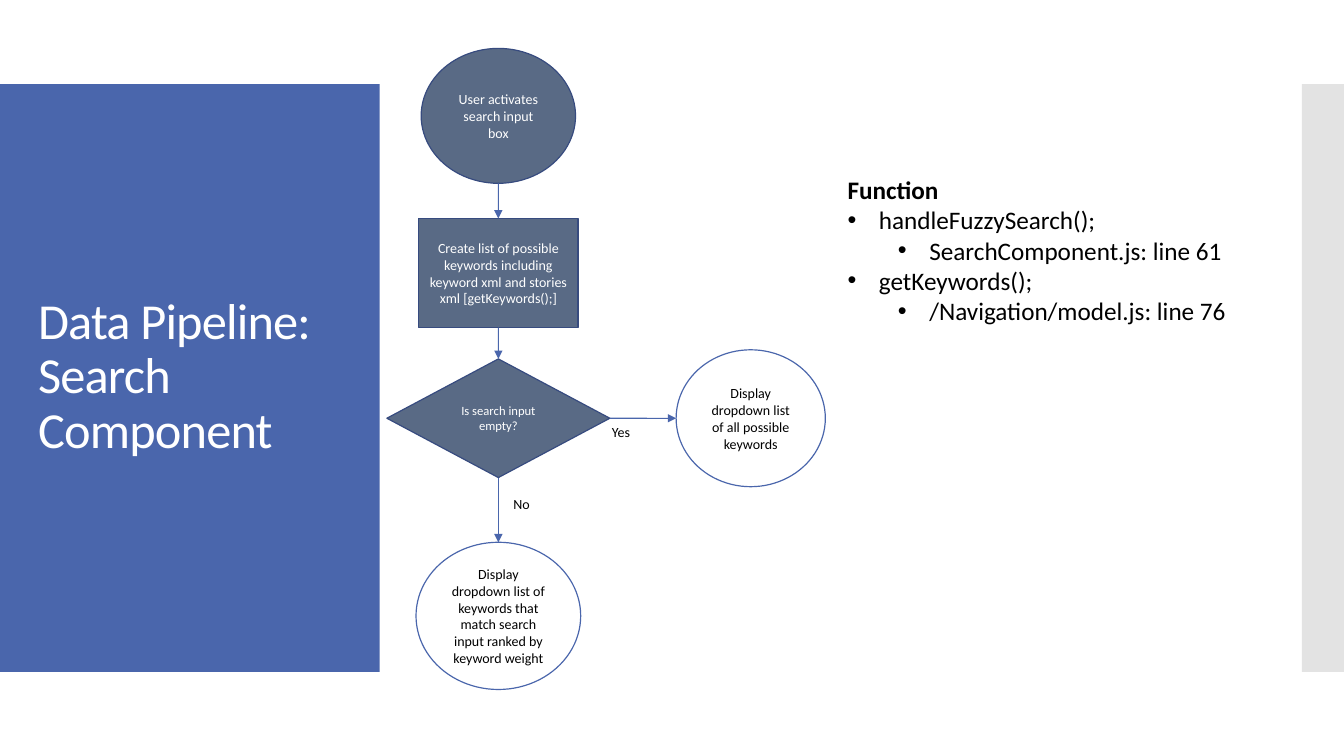
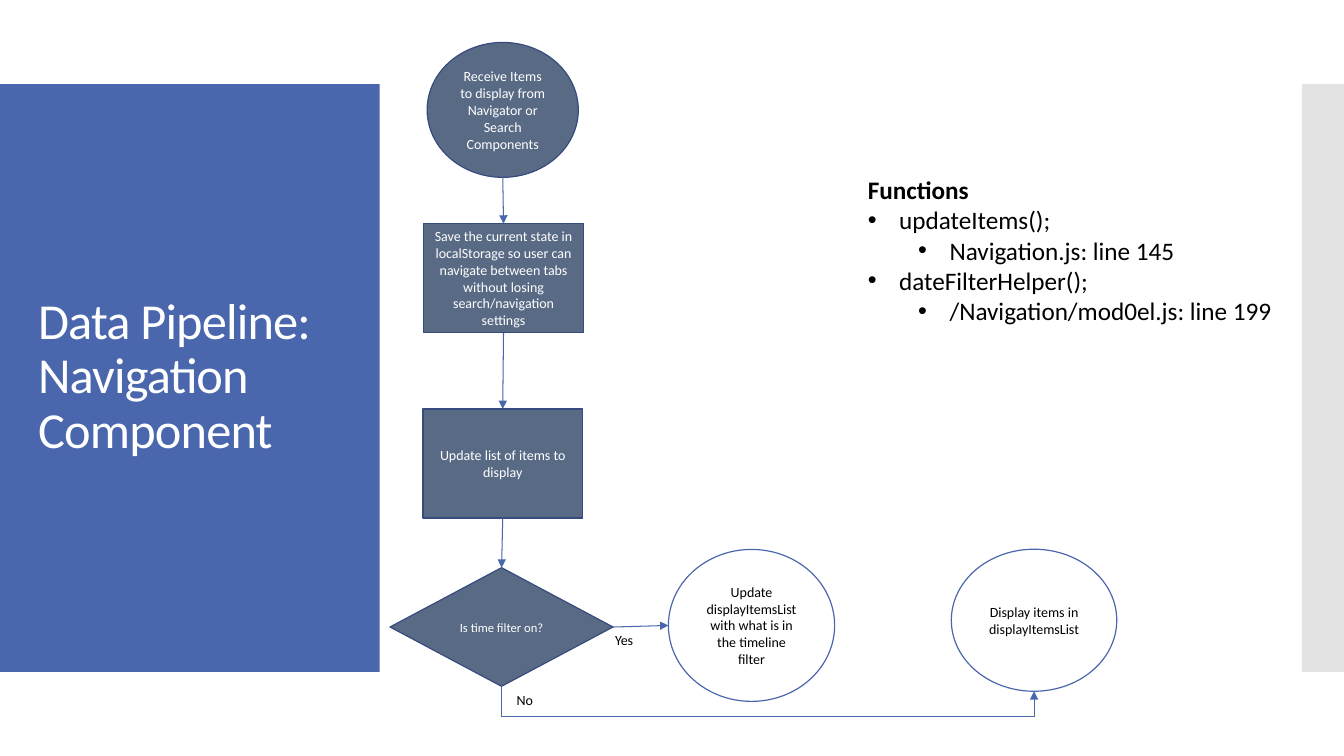
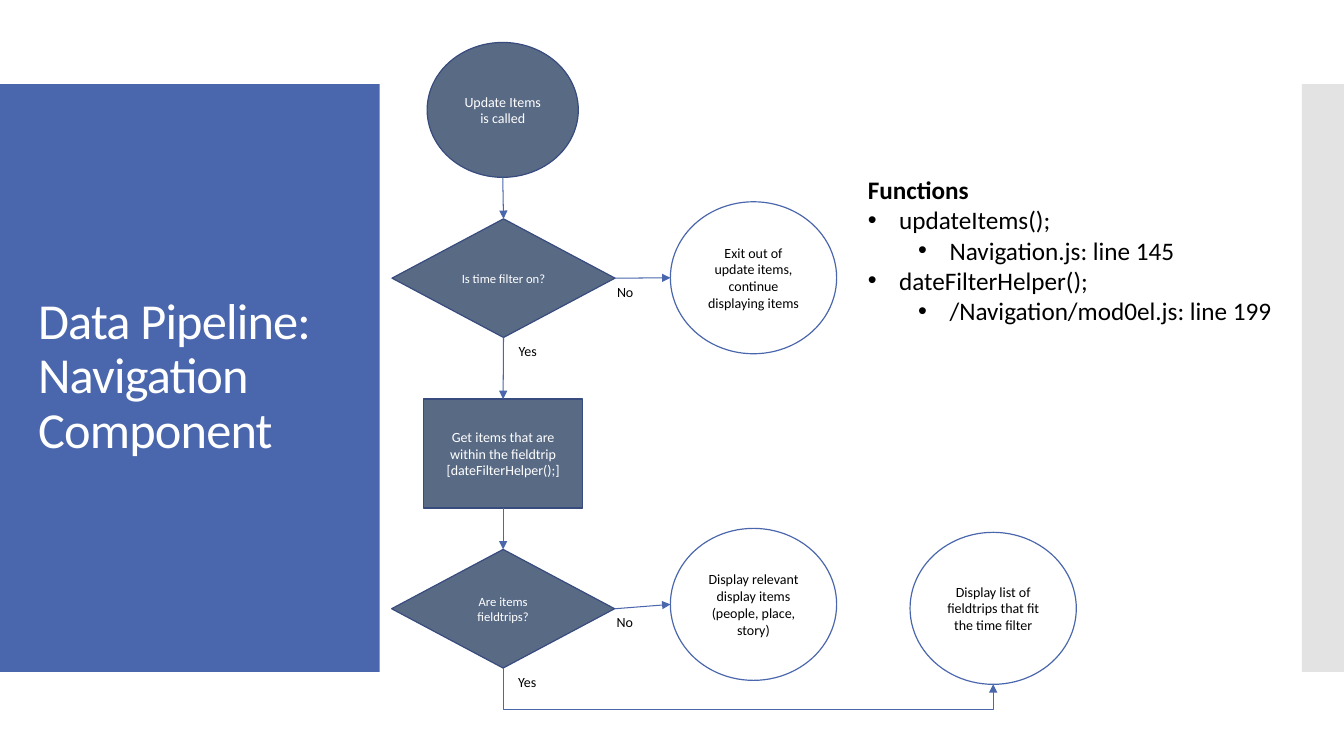
"""Build three flowchart slides about the data pipeline of a web app."""
from dataclasses import dataclass

from lxml import etree
from pptx import Presentation
from pptx.dml.color import RGBColor
from pptx.enum.shapes import MSO_CONNECTOR as CONN, MSO_SHAPE as SHAPE
from pptx.enum.text import MSO_ANCHOR as ANCHOR, PP_ALIGN as ALIGN
from pptx.oxml.ns import qn
from pptx.util import Cm, Pt


@dataclass(frozen=True)
class Theme:
    font: str = "Calibri"
    blue: str = "4A66AC"
    slate: str = "596A85"
    outline: str = "374B7F"
    band: str = "C8C8C8"
    white: str = "FFFFFF"
    black: str = "000000"
    title: int = 36
    notes: int = 18
    node: int = 10
    choice: int = 9
    node_line: float = 0.85
    link_line: float = 0.75


T = Theme()
TOP, LEFT, BOTTOM, RIGHT = range(4)

KINDS = {
    "start": (SHAPE.OVAL, T.slate, T.outline, T.white, T.node, (3.81, 3.4)),
    "step": (SHAPE.RECTANGLE, T.slate, T.outline, T.white, T.node, (4.02, 2.75)),
    "choice": (SHAPE.DIAMOND, T.slate, T.outline, T.white, T.choice, (5.62, 2.99)),
    "end": (SHAPE.OVAL, T.white, T.blue, T.black, T.node, (4.19, 3.83)),
}

NAVIGATION_NOTES = ("Functions", [
    ("updateItems();", "Navigation.js: line 145"),
    ("dateFilterHelper();", "/Navigation/mod0el.js: line 199"),
])

SLIDES = [
    {
        "title": "Data Pipeline: Search Component",
        "notes_left": 21.11,
        "notes": ("Function", [
            ("handleFuzzySearch();", "SearchComponent.js: line 61"),
            ("getKeywords();", "/Navigation/model.js: line 76"),
        ]),
        "nodes": {
            "activate": ("start", "User activates search input box", 12.56, 2.92, (3.89, 3.4)),
            "keywords": ("step", "Create list of possible keywords including keyword xml "
                         "and stories xml [getKeywords();]", 12.56, 6.88),
            "empty": ("choice", "Is search input empty?", 12.56, 10.54),
            "all": ("end", "Display dropdown list of all possible keywords",
                    18.92, 10.54, (3.76, 3.45)),
            "match": ("end", "Display dropdown list of keywords that match search input "
                      "ranked by keyword weight", 12.56, 15.52, (4.15, 3.71)),
        },
        "down": [("activate", "keywords"), ("keywords", "empty"), ("empty", "match")],
        "right": [("empty", "all")],
        "under": [],
        "labels": [("empty", RIGHT, "Yes", 0), ("empty", BOTTOM, "No", 0.33)],
    },
    {
        "title": "Data Pipeline: Navigation Component",
        "notes_left": 21.62,
        "notes": NAVIGATION_NOTES,
        "nodes": {
            "receive": ("start", "Receive Items to display from Navigator or Search Components",
                        12.67, 2.77),
            "save": ("step", "Save the current state in localStorage so user can navigate "
                     "between tabs without losing search/navigation settings", 12.69, 7.01),
            "update": ("step", "Update list of items to display", 12.67, 11.68),
            "filter": ("choice", "Is time filter on?", 12.64, 15.8),
            "timeline": ("end", "Update displayItemsList with what is in the timeline filter",
                         18.94, 15.76),
            "display": ("end", "Display items in displayItemsList", 26.06, 15.63, (4.17, 3.58)),
        },
        "down": [("receive", "save"), ("save", "update"), ("update", "filter")],
        "right": [("filter", "timeline")],
        "under": [("filter", "display", 18.06)],
        "labels": [("filter", RIGHT, "Yes", 0), ("filter", BOTTOM, "No", 0)],
    },
    {
        "title": "Data Pipeline: Navigation Component",
        "notes_left": 21.62,
        "notes": NAVIGATION_NOTES,
        "nodes": {
            "called": ("start", "Update Items is called", 12.67, 2.77),
            "filter": ("choice", "Is time filter on?", 12.69, 7.01),
            "exit": ("end", "Exit out of update items, continue displaying items", 18.99, 7),
            "get": ("step", "Get items that are within the fieldtrip [dateFilterHelper();]",
                    12.68, 11.43),
            "fieldtrips": ("choice", "Are items fieldtrips?", 12.68, 15.34),
            "relevant": ("end", "Display relevant display items (people, place, story)",
                         18.99, 15.23),
            "list": ("end", "Display list of fieldtrips that fit the time filter", 25.03, 15.33),
        },
        "down": [("called", "filter"), ("filter", "get"), ("get", "fieldtrips")],
        "right": [("filter", "exit"), ("fieldtrips", "relevant")],
        "under": [("fieldtrips", "list", 17.88)],
        "labels": [("filter", RIGHT, "No", 0), ("filter", BOTTOM, "Yes", 0),
                   ("fieldtrips", RIGHT, "No", 0), ("fieldtrips", BOTTOM, "Yes", 0)],
    },
]


def style(p, size, color, bold=False):
    for r in p.runs:
        r.font.name, r.font.size, r.font.bold = T.font, Pt(size), bold
        r.font.color.rgb = RGBColor.from_string(color)


def add_box(slide, shape, box, fill, line=None):
    s = slide.shapes.add_shape(shape, *map(Cm, box))
    s.shadow.inherit = False
    s.fill.solid()
    s.fill.fore_color.rgb = RGBColor.from_string(fill)
    if line:
        s.line.color.rgb = RGBColor.from_string(line)
        s.line.width = Pt(T.node_line)
    else:
        s.line.fill.background()
    return s


def add_text(slide, box, text, size, color):
    s = slide.shapes.add_textbox(*map(Cm, box))
    tf = s.text_frame
    tf.word_wrap = True
    tf.text = text
    style(tf.paragraphs[0], size, color)
    return tf


def add_frame(slide, title):
    add_box(slide, SHAPE.RECTANGLE, (0, 2.12, 9.57, 14.81), T.blue)
    band = add_box(slide, SHAPE.RECTANGLE, (32.81, 2.12, 1.06, 14.81), T.band)
    color = band._element.spPr.find(qn("a:solidFill")).find(qn("a:srgbClr"))
    etree.SubElement(color, qn("a:alpha"), val="50000")
    tf = add_text(slide, (0.71, 3.12, 8.18, 12.78), title, T.title, T.white)
    tf.vertical_anchor = ANCHOR.MIDDLE
    p = tf.paragraphs[0]
    p.line_spacing = 0.9
    p.runs[0].font._element.set("spc", "-60")


def add_notes(slide, left, heading, functions):
    tf = add_text(slide, (left, 4.27, 32.51 - left, 4.11), heading, T.notes, T.black)
    style(tf.paragraphs[0], T.notes, T.black, bold=True)
    for lines in functions:
        for level, text in enumerate(lines):
            p = tf.add_paragraph()
            p.text, p.level = text, level
            style(p, T.notes, T.black)
            pPr = p._p.get_or_add_pPr()
            pPr.set("marL", str(Cm(0.79 + 1.27 * level)))
            pPr.set("indent", str(-Cm(0.79)))
            etree.SubElement(pPr, qn("a:buFont"), typeface="Arial")
            etree.SubElement(pPr, qn("a:buChar"), char="•")


def add_node(slide, kind, text, cx, cy, size=None):
    shape, fill, line, color, pt, default = KINDS[kind]
    w, h = size or default
    s = add_box(slide, shape, (cx - w / 2, cy - h / 2, w, h), fill, line)
    tf = s.text_frame
    tf.word_wrap = True
    tf.vertical_anchor = ANCHOR.MIDDLE
    tf.text = text
    p = tf.paragraphs[0]
    p.alignment = ALIGN.CENTER
    style(p, pt, color)
    return s


def side_point(s, side):
    cx, cy = s.left + s.width // 2, s.top + s.height // 2
    return {TOP: (cx, s.top), LEFT: (s.left, cy),
            BOTTOM: (cx, s.top + s.height), RIGHT: (s.left + s.width, cy)}[side]


def join(connect, cn, tag, s, side):
    if s.auto_shape_type == SHAPE.OVAL:
        etree.SubElement(cn._element.nvCxnSpPr.cNvCxnSpPr, qn(tag),
                         id=str(s.shape_id), idx=str(2 * side))
    else:
        connect(s, side)


def add_arrow(slide, kind, a, a_side, b, b_side):
    cn = slide.shapes.add_connector(kind, *side_point(a, a_side), *side_point(b, b_side))
    join(cn.begin_connect, cn, "a:stCxn", a, a_side)
    join(cn.end_connect, cn, "a:endCxn", b, b_side)
    cn.line.color.rgb = RGBColor.from_string(T.blue)
    cn.line.width = Pt(T.link_line)
    etree.SubElement(cn.line._get_or_add_ln(), qn("a:tailEnd"), type="triangle")
    etree.SubElement(cn._element.spPr, qn("a:effectLst"))
    return cn


def add_under_arrow(slide, a, b, lane):
    cn = add_arrow(slide, CONN.ELBOW, a, BOTTOM, b, BOTTOM)
    (x1, y1), (x2, y2) = side_point(a, BOTTOM), side_point(b, BOTTOM)
    run, drop = x2 - x1, y2 - y1
    cn.left, cn.top = (x1 + x2 - drop) // 2, (y1 + y2 - run) // 2
    cn.width, cn.height = drop, run
    spPr = cn._element.spPr
    xfrm = spPr.find(qn("a:xfrm"))
    xfrm.attrib.pop("flipV", None)
    xfrm.set("rot", "16200000")
    xfrm.set("flipH", "1")
    guides = spPr.find(qn("a:prstGeom")).find(qn("a:avLst"))
    etree.SubElement(guides, qn("a:gd"), name="adj1",
                     fmla=f"val {round((Cm(lane) - y1) / drop * 100000)}")


def add_label(slide, s, side, text, gap):
    x, y = (v / Cm(1) for v in side_point(s, side))
    x += 0.13 if side == BOTTOM else -0.2
    add_text(slide, (x, y + gap, 2.44, 0.69), text, T.node, T.black)


def build_slide(prs, data):
    slide = prs.slides.add_slide(prs.slide_layouts[6])
    add_frame(slide, data["title"])
    add_notes(slide, data["notes_left"], *data["notes"])
    nodes = {key: add_node(slide, *node) for key, node in data["nodes"].items()}
    for a, b in data["down"]:
        add_arrow(slide, CONN.STRAIGHT, nodes[a], BOTTOM, nodes[b], TOP)
    for a, b in data["right"]:
        add_arrow(slide, CONN.STRAIGHT, nodes[a], RIGHT, nodes[b], LEFT)
    for a, b, lane in data["under"]:
        add_under_arrow(slide, nodes[a], nodes[b], lane)
    for key, side, text, gap in data["labels"]:
        add_label(slide, nodes[key], side, text, gap)


def main():
    prs = Presentation()
    prs.slide_width, prs.slide_height = Cm(33.87), Cm(19.05)
    for data in SLIDES:
        build_slide(prs, data)
    prs.save("out.pptx")


if __name__ == "__main__":
    main()
